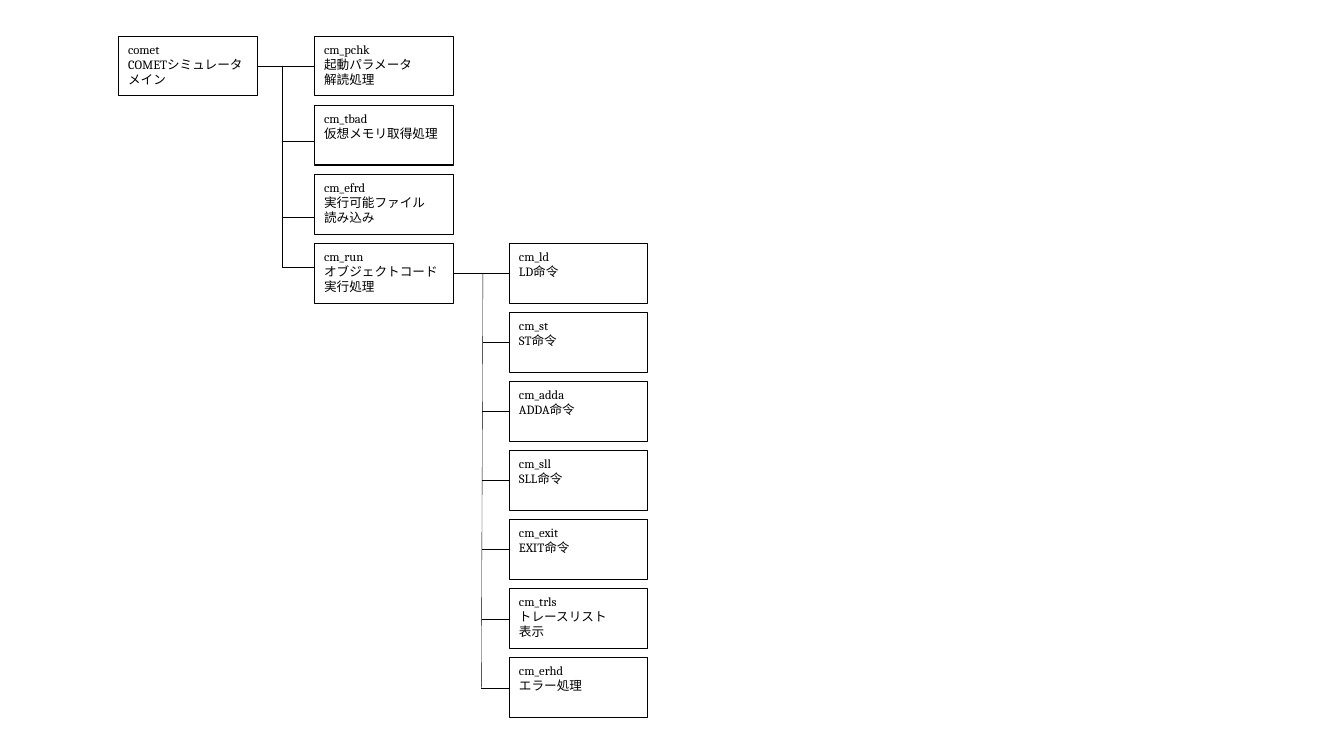
from lxml import etree
from pptx import Presentation
from pptx.dml.color import RGBColor
from pptx.enum.shapes import MSO_CONNECTOR, MSO_SHAPE
from pptx.enum.text import MSO_ANCHOR, PP_ALIGN
from pptx.oxml.ns import qn
from pptx.util import Cm, Pt

RECTANGLE = MSO_SHAPE.RECTANGLE
STRAIGHT = MSO_CONNECTOR.STRAIGHT
TOP = MSO_ANCHOR.TOP
LEFT = PP_ALIGN.LEFT

COLORS = {"ink": "000000"}
LATIN_FONT = "Cambria"
JAPANESE_FONT = "Noto Sans CJK JP"

BOX_WIDTH = 3.5
BOX_HEIGHT = 1.5
FIRST_TOP = 0.92
ROW_PITCH = 1.74
MAIN_LEFT, STEP_LEFT, COMMAND_LEFT = 2.98, 7.92, 12.83
STEP_TRUNK = 7.11
COMMAND_TRUNK_TOP, COMMAND_TRUNK_BOTTOM = 12.17, 12.13
STEP_BRANCHES = [3.56, 5.46, 6.73]

MAIN = "comet\nCOMETシミュレータメイン"
STEPS = [
    "cm_pchk\n起動パラメータ\n解読処理",
    "cm_tbad\n仮想メモリ取得処理",
    "cm_efrd\n実行可能ファイル\n読み込み",
    "cm_run\nオブジェクトコード実行処理",
]
COMMANDS = [
    "cm_ld\nLD命令",
    "cm_st\nST命令",
    "cm_adda\nADDA命令",
    "cm_sll\nSLL命令",
    "cm_exit\nEXIT命令",
    "cm_trls\nトレースリスト\n表示",
    "cm_erhd\nエラー処理",
]
RUN_ROW = len(STEPS) - 1


def color(name):
    return RGBColor.from_string(COLORS[name])


def row_top(row):
    return FIRST_TOP + row * ROW_PITCH


def row_middle(row):
    return row_top(row) + BOX_HEIGHT / 2


def format_run(run):
    run.font.size = Pt(9)
    run.font.color.rgb = color("ink")
    run.font.name = LATIN_FONT
    properties = run.font._element
    east_asian = etree.SubElement(properties, qn("a:ea"))
    east_asian.set("typeface", JAPANESE_FONT)


def add_box(slide, left, row, text):
    shape = slide.shapes.add_shape(
        RECTANGLE, Cm(left), Cm(row_top(row)), Cm(BOX_WIDTH), Cm(BOX_HEIGHT)
    )
    shape.shadow.inherit = False
    shape.fill.background()
    shape.line.color.rgb = color("ink")
    shape.line.width = Pt(0.75)
    text_frame = shape.text_frame
    text_frame.text = text
    text_frame.word_wrap = True
    text_frame.vertical_anchor = TOP
    for paragraph in text_frame.paragraphs:
        paragraph.alignment = LEFT
        for run in paragraph.runs:
            format_run(run)


def add_line(slide, start_x, start_y, end_x, end_y):
    connector = slide.shapes.add_connector(
        STRAIGHT, Cm(start_x), Cm(start_y), Cm(end_x), Cm(end_y)
    )
    connector.line.color.rgb = color("ink")
    connector.line.width = Pt(0.25)
    etree.SubElement(connector._element.spPr, qn("a:effectLst"))


def add_column(slide, left, first_row, texts):
    for row, text in enumerate(texts, first_row):
        add_box(slide, left, row, text)


def add_step_lines(slide):
    middle = row_middle(0)
    add_line(slide, MAIN_LEFT + BOX_WIDTH, middle, STEP_LEFT, middle)
    add_line(slide, STEP_TRUNK, middle, STEP_TRUNK, STEP_BRANCHES[-1])
    for y in STEP_BRANCHES:
        add_line(slide, STEP_TRUNK, y, STEP_LEFT, y)


def add_command_lines(slide):
    last = len(COMMANDS) - 1
    top, bottom = row_middle(RUN_ROW), row_middle(RUN_ROW + last)
    add_line(slide, STEP_LEFT + BOX_WIDTH, top, COMMAND_LEFT, top)
    add_line(slide, COMMAND_TRUNK_TOP, top, COMMAND_TRUNK_BOTTOM, bottom)
    for index in range(1, len(COMMANDS)):
        drift = (COMMAND_TRUNK_BOTTOM - COMMAND_TRUNK_TOP) * index / last
        y = row_middle(RUN_ROW + index)
        add_line(slide, COMMAND_TRUNK_TOP + drift, y, COMMAND_LEFT, y)


def main():
    presentation = Presentation()
    presentation.slide_width = Cm(33.87)
    presentation.slide_height = Cm(19.05)
    slide = presentation.slides.add_slide(presentation.slide_layouts[6])
    add_column(slide, MAIN_LEFT, 0, [MAIN])
    add_column(slide, STEP_LEFT, 0, STEPS)
    add_column(slide, COMMAND_LEFT, RUN_ROW, COMMANDS)
    add_step_lines(slide)
    add_command_lines(slide)
    presentation.save("out.pptx")


if __name__ == "__main__":
    main()
